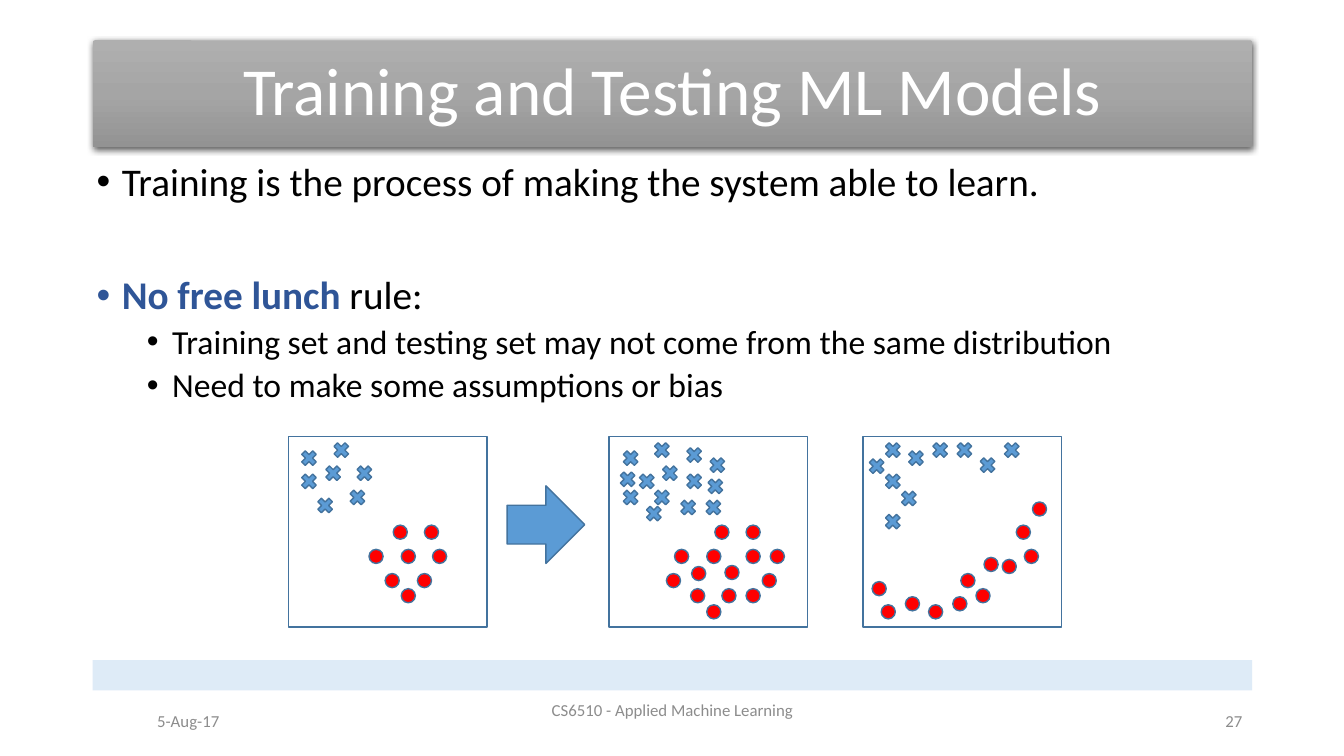
"""Build the slide on training and testing machine learning models."""
from copy import deepcopy

from lxml import etree
from pptx import Presentation
from pptx import util as u
from pptx.dml.color import RGBColor
from pptx.enum import shapes, text
from pptx.oxml import ns

PX = 9144
FONT = "Calibri"
WHITE = RGBColor(0xFF, 0xFF, 0xFF)
BLACK = RGBColor(0x00, 0x00, 0x00)
GRAY = RGBColor(0x8C, 0x8C, 0x8C)
TITLE_GRAYS = [RGBColor(0xAF, 0xAF, 0xAF), RGBColor(0xA5, 0xA5, 0xA5), RGBColor(0x93, 0x93, 0x93)]
PALE_BLUE = RGBColor(0xDE, 0xEB, 0xF7)
BLUE = RGBColor(0x5B, 0x9B, 0xD5)
OUTLINE = RGBColor(0x43, 0x73, 0x9E)
DARK_BLUE = RGBColor(0x2F, 0x55, 0x97)
RED = RGBColor(0xFF, 0x00, 0x00)
KINDS = shapes.MSO_SHAPE
ALIGN = text.PP_ALIGN

presentation = Presentation()
presentation.slide_width = 1333 * PX
presentation.slide_height = 750 * PX
slide = presentation.slides.add_slide(presentation.slide_layouts[6])


def add_shape(kind, left, top, width, height, color, outline=OUTLINE):
    shape = slide.shapes.add_shape(kind, left * PX, top * PX, width * PX, height * PX)
    shape.shadow.inherit = False
    shape.fill.solid()
    shape.fill.fore_color.rgb = color
    if outline is None:
        shape.line.fill.background()
    else:
        shape.line.color.rgb = outline
        shape.line.width = u.Pt(1)
    return shape


def set_font(paragraph, size, color):
    paragraph.font.name = FONT
    paragraph.font.size = u.Pt(size)
    paragraph.font.color.rgb = color


title = add_shape(KINDS.ROUNDED_RECTANGLE, 92, 40, 1150, 106, TITLE_GRAYS[0], None)
title.adjustments[0] = 0.02
title.fill.gradient()
title.fill.gradient_angle = 270
stop_list = title._element.spPr.find(".//" + ns.qn("a:gsLst"))
stop_list.insert(1, deepcopy(stop_list[0]))
for stop, position, color in zip(title.fill.gradient_stops, (0, 0.5, 1), TITLE_GRAYS):
    stop.position = position
    stop.color.rgb = color
effects = title._element.spPr.find(ns.qn("a:effectLst"))
shadow = etree.SubElement(effects, ns.qn("a:outerShdw"), blurRad="57150", dist="19050",
                          dir="5400000", algn="ctr", rotWithShape="0")
shadow_color = etree.SubElement(shadow, ns.qn("a:srgbClr"), val="000000")
etree.SubElement(shadow_color, ns.qn("a:alpha"), val="63000")
title.text_frame.vertical_anchor = text.MSO_ANCHOR.MIDDLE
title.text_frame.word_wrap = True
paragraph = title.text_frame.paragraphs[0]
paragraph.text = "Training and Testing ML Models"
paragraph.alignment = ALIGN.CENTER
paragraph.line_spacing = 0.9
set_font(paragraph, 48, WHITE)

footers = [
    ("5-Aug-17", 146, 695, 245, ALIGN.LEFT),
    ("CS6510 - Applied Machine Learning", 442, 684, 450, ALIGN.CENTER),
    ("27", 942, 695, 300, ALIGN.RIGHT),
]
for wording, left, top, width, alignment in footers:
    footer = slide.shapes.add_textbox(left * PX, top * PX, width * PX, 40 * PX)
    footer.text_frame.word_wrap = True
    footer.text_frame.vertical_anchor = text.MSO_ANCHOR.MIDDLE
    paragraph = footer.text_frame.paragraphs[0]
    paragraph.text = wording
    paragraph.alignment = alignment
    set_font(paragraph, 12, GRAY)

body = slide.shapes.add_textbox(86 * PX, 156 * PX, 1156 * PX, 499 * PX)
body.text_frame.word_wrap = True
bullets = [
    ("", "Training is the process of making the system able to learn.", 0, 28, 10),
    ("No free lunch", " rule:", 0, 28, 51),
    ("", "Training set and testing set may not come from the same distribution", 1, 24, 5),
    ("", "Need to make some assumptions or bias", 1, 24, 5),
]
for index, (emphasis, wording, level, size, space_before) in enumerate(bullets):
    paragraph = body.text_frame.paragraphs[0] if index == 0 else body.text_frame.add_paragraph()
    paragraph.level = level
    paragraph.line_spacing = 0.9
    paragraph.space_before = u.Pt(space_before)
    properties = paragraph._p.get_or_add_pPr()
    properties.set("marL", str((25 + 50 * level) * PX))
    properties.set("indent", str(-25 * PX))
    etree.SubElement(properties, ns.qn("a:buFont"), typeface="Arial")
    etree.SubElement(properties, ns.qn("a:buChar"), char="•")
    set_font(paragraph, size, BLACK)
    if emphasis:
        run = paragraph.add_run()
        run.text = emphasis
        run.font.bold = True
        run.font.color.rgb = DARK_BLUE
    paragraph.add_run().text = wording

add_shape(KINDS.RECTANGLE, 92, 655, 1150, 30, PALE_BLUE, None)
add_shape(KINDS.RIGHT_ARROW, 503, 482, 77, 77, BLUE)

PANEL_TOP = 433
panels = [
    (286,
     [(10, 11), (34, 26), (42, 3), (10, 34), (65, 26), (58, 50), (26, 58)],
     [(104, 88), (80, 112), (135, 88), (112, 112), (96, 136), (143, 112), (128, 136),
      (112, 151)]),
    (604,
     [(11, 11), (8, 32), (42, 3), (27, 34), (50, 26), (74, 8), (42, 50), (74, 34),
      (95, 39), (97, 18), (11, 50), (34, 66), (68, 60), (93, 60)],
     [(105, 88), (65, 112), (136, 88), (136, 112), (97, 112), (160, 112), (152, 136),
      (112, 151), (82, 129), (81, 151), (115, 128), (136, 151), (97, 167), (57, 136)]),
    (856,
     [(19, 3), (90, 3), (42, 11), (3, 19), (66, 3), (113, 18), (137, 3), (19, 34),
      (35, 51), (19, 74)],
     [(9, 144), (18, 167), (152, 88), (120, 120), (97, 136), (160, 112), (89, 159),
      (112, 151), (168, 65), (138, 122), (65, 167), (42, 159)]),
]
for panel_left, crosses, dots in panels:
    add_shape(KINDS.FLOWCHART_PROCESS, panel_left, PANEL_TOP, 197, 189, WHITE)
    for x, y in crosses:
        add_shape(KINDS.MATH_MULTIPLY, panel_left + x, PANEL_TOP + y, 21, 21, BLUE)
    for x, y in dots:
        add_shape(KINDS.FLOWCHART_CONNECTOR, panel_left + x, PANEL_TOP + y, 14, 14, RED)

presentation.save("out.pptx")
